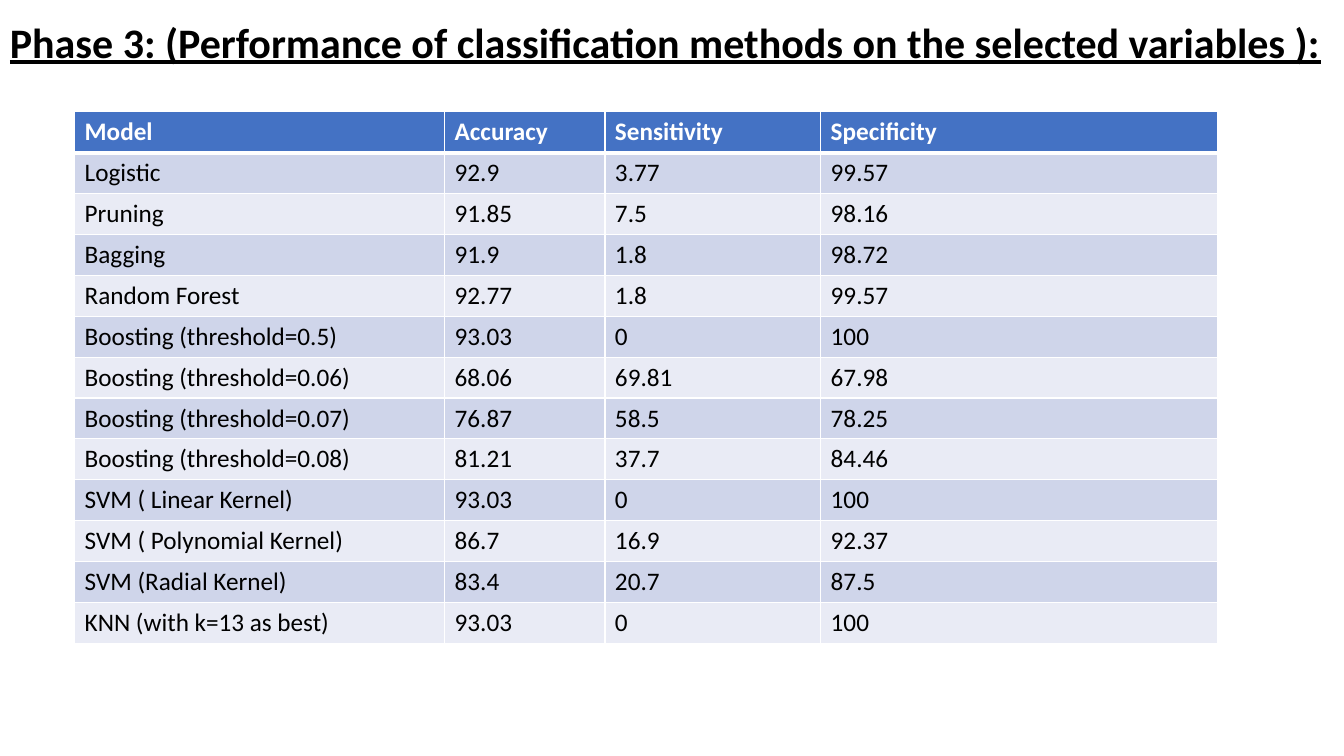
from pptx import Presentation
from pptx.dml.color import RGBColor
from pptx.enum.text import MSO_AUTO_SIZE
from pptx.oxml.ns import qn
from pptx.util import Inches, Pt
from lxml import etree

FIT_SHAPE = MSO_AUTO_SIZE.SHAPE_TO_FIT_TEXT
FONT = "Calibri"
COLORS = {"white": "FFFFFF", "black": "000000", "header": "4472C4",
          "odd": "CFD5EA", "even": "E9EBF5"}
TITLE = "Phase 3: (Performance of classification methods on the selected variables ):"
ROWS = [
    ("Model", "Accuracy", "Sensitivity", "Specificity"),
    ("Logistic", "92.9", "3.77", "99.57"),
    ("Pruning", "91.85", "7.5", "98.16"),
    ("Bagging", "91.9", "1.8", "98.72"),
    ("Random Forest", "92.77", "1.8", "99.57"),
    ("Boosting (threshold=0.5)", "93.03", "0", "100"),
    ("Boosting (threshold=0.06)", "68.06", "69.81", "67.98"),
    ("Boosting (threshold=0.07)", "76.87", "58.5", "78.25"),
    ("Boosting (threshold=0.08)", "81.21", "37.7", "84.46"),
    ("SVM ( Linear Kernel)", "93.03", "0", "100"),
    ("SVM ( Polynomial Kernel)", "86.7", "16.9", "92.37"),
    ("SVM (Radial Kernel)", "83.4", "20.7", "87.5"),
    ("KNN (with k=13 as best)", "93.03", "0", "100"),
]
COLUMN_WIDTHS = [3.67, 1.59, 2.14, 3.94]
TABLE_LEFT, TABLE_TOP, TABLE_HEIGHT = 0.74, 1.11, 5.27


def write_text(frame, text, size=18, color="black", bold=False, underline=False):
    span = frame.paragraphs[0].add_run()
    span.text = text
    span.font.name = FONT
    span.font.size = Pt(size)
    span.font.bold = bold
    span.font.underline = underline
    span.font.color.rgb = RGBColor.from_string(COLORS[color])


def set_borders(cell, widths):
    properties = cell._tc.get_or_add_tcPr()
    for position, (side, width) in enumerate(widths.items()):
        line = etree.Element(qn(f"a:ln{side}"), w=str(Pt(width)))
        fill = etree.SubElement(line, qn("a:solidFill"))
        etree.SubElement(fill, qn("a:srgbClr"), val=COLORS["white"])
        properties.insert(position, line)


def add_title(page):
    box = page.shapes.add_textbox(Inches(0), Inches(0.11), Inches(13.34), Inches(0.61))
    box.text_frame.word_wrap = False
    box.text_frame.auto_size = FIT_SHAPE
    write_text(box.text_frame, TITLE, size=30, bold=True, underline=True)


def add_results(page):
    table = page.shapes.add_table(
        len(ROWS), len(COLUMN_WIDTHS), Inches(TABLE_LEFT), Inches(TABLE_TOP),
        Inches(sum(COLUMN_WIDTHS)), Inches(TABLE_HEIGHT)).table
    for column, width in zip(table.columns, COLUMN_WIDTHS):
        column.width = Inches(width)
    for row_index, values in enumerate(ROWS):
        header = row_index == 0
        band = "header" if header else "odd" if row_index % 2 else "even"
        borders = {"L": 1, "R": 1, "T": 3 if row_index == 1 else 1, "B": 3 if header else 1}
        for column_index, value in enumerate(values):
            cell = table.cell(row_index, column_index)
            cell.fill.solid()
            cell.fill.fore_color.rgb = RGBColor.from_string(COLORS[band])
            set_borders(cell, borders)
            write_text(cell.text_frame, value, color="white" if header else "black", bold=header)


def main():
    deck = Presentation()
    deck.slide_width, deck.slide_height = Inches(13.33), Inches(7.5)
    page = deck.slides.add_slide(deck.slide_layouts[6])
    add_results(page)
    add_title(page)
    deck.save("out.pptx")


if __name__ == "__main__":
    main()
